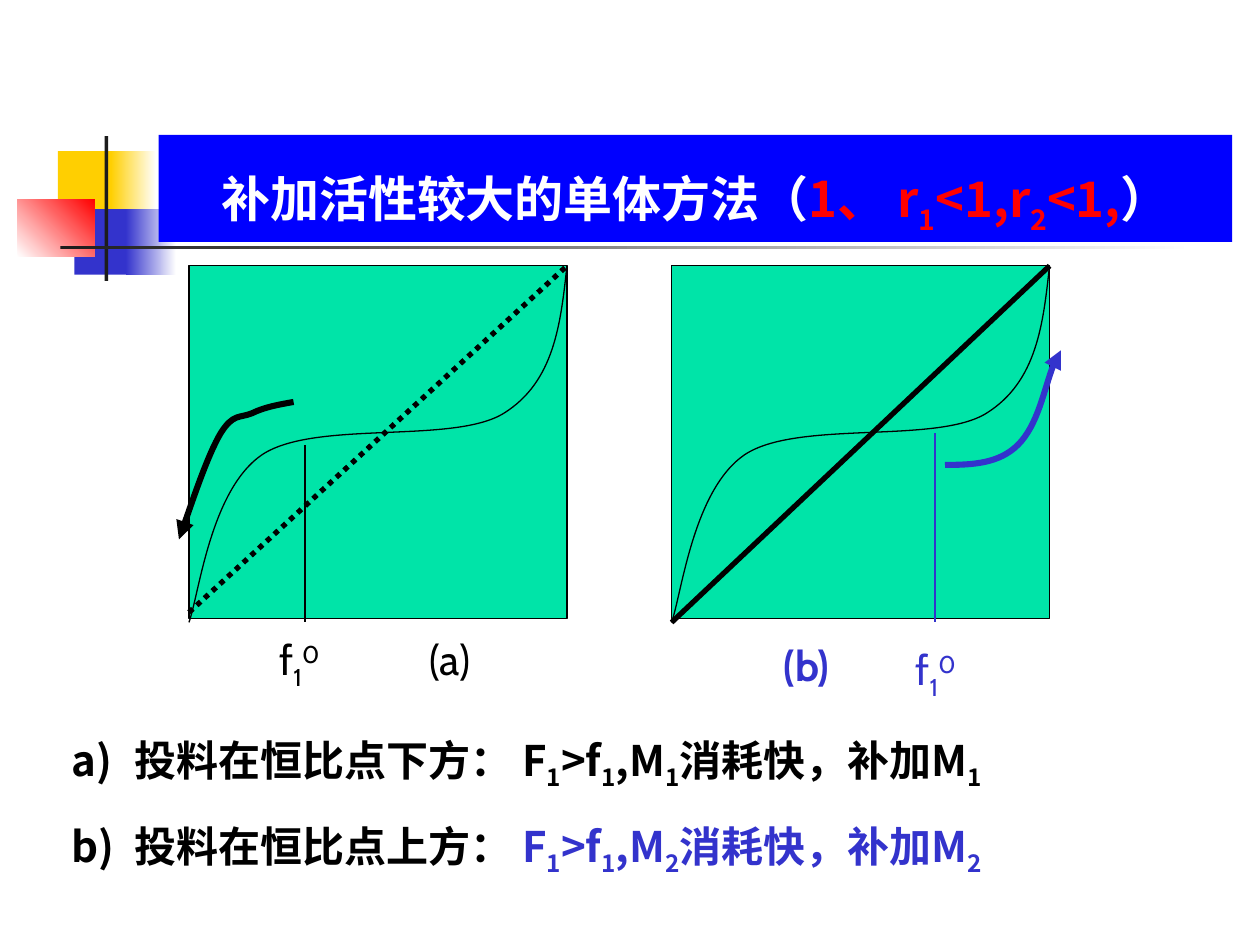
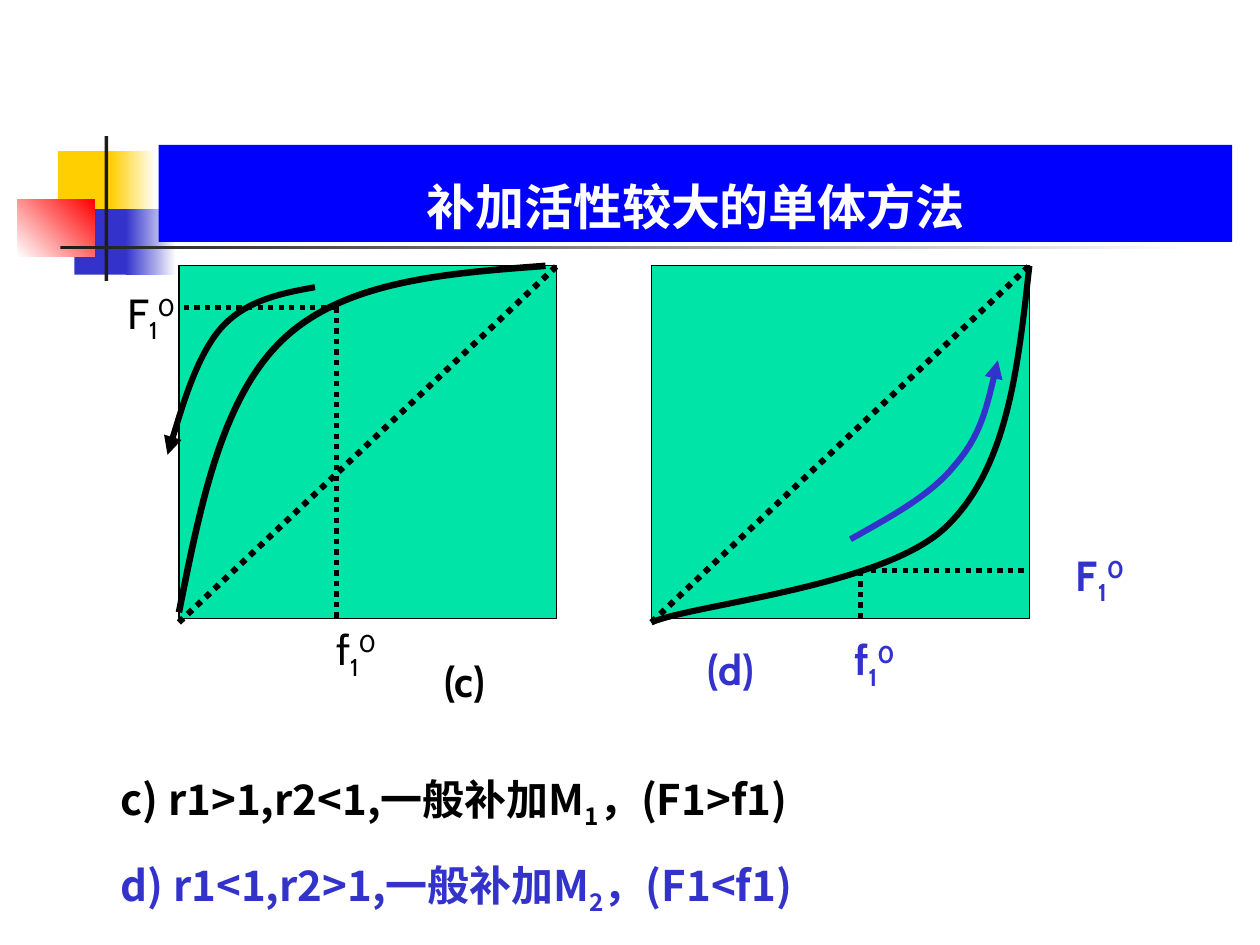
from pptx import Presentation
from pptx.dml.color import RGBColor
from pptx.enum.dml import MSO_LINE
from pptx.enum.shapes import MSO_CONNECTOR, MSO_SHAPE
from pptx.enum.text import MSO_ANCHOR, MSO_AUTO_SIZE, PP_ALIGN
from pptx.oxml.ns import qn
from pptx.oxml.xmlchemy import OxmlElement
from pptx.util import Inches, Pt

RECT = MSO_SHAPE.RECTANGLE
STRAIGHT = MSO_CONNECTOR.STRAIGHT
DOTTED = MSO_LINE.ROUND_DOT
CENTER = PP_ALIGN.CENTER
BOTTOM = MSO_ANCHOR.BOTTOM
FIT = MSO_AUTO_SIZE.SHAPE_TO_FIT_TEXT

BLACK = RGBColor(0, 0, 0)
WHITE = RGBColor(255, 255, 255)
RED = RGBColor(255, 0, 0)
BLUE = RGBColor(0x33, 0x33, 0xCC)
BAND = RGBColor(0, 0, 255)
GOLD = RGBColor(0xFF, 0xCF, 0x01)
DARK = RGBColor(0x1C, 0x1C, 0x1C)
GREEN = RGBColor(0, 0xE4, 0xA8)

CJK = "Noto Sans CJK SC"
LABEL = "Cabin"
BASELINES = {"_": "-25000", "^": "30000"}

# Plot area: every diagram is a 3 x 2.8 square
PLOT_TOP, PLOT_W, PLOT_H = 2.11, 3, 2.8
AXIS_Y = 4.94

# Curves: start point, then three points for each Bezier segment;
# the composition curves have x measured from the left of the plot
S_CURVE = [(3, 2.11), (2.95, 2.57), (2.9, 3.03), (2.5, 3.28),
           (2.1, 3.53), (1, 3.33), (0.58, 3.61),
           (0.17, 3.89), (0.08, 4.72), (0, 4.94)]
UPPER_CURVE = [(2.91, 2.11), (2.11, 2.17), (1.32, 2.23), (0.83, 2.69),
               (0.34, 3.15), (0.17, 4.01), (0, 4.86)]
LOWER_CURVE = [(3, 2.11), (2.91, 2.91), (2.83, 3.72), (2.33, 4.19),
               (1.83, 4.66), (0.32, 4.8), (0, 4.94)]
ARROW_A = [(2.33, 3.19), (2.22, 3.21), (2.1, 3.23), (2, 3.28),
           (1.9, 3.32), (1.85, 3.28), (1.75, 3.44),
           (1.65, 3.61), (1.47, 4.14), (1.42, 4.28)]
ARROW_B = [(7.5, 3.69), (7.72, 3.69), (7.93, 3.68), (8.08, 3.53),
           (8.24, 3.37), (8.33, 2.89), (8.42, 2.78)]
ARROW_C = [(2.5, 2.28), (2.22, 2.33), (1.94, 2.39), (1.75, 2.61),
           (1.56, 2.83), (1.39, 3.41), (1.33, 3.61)]
ARROW_D = [(6.75, 4.28), (7.07, 4.1), (7.39, 3.93), (7.58, 3.69),
           (7.78, 3.46), (7.85, 3.16), (7.92, 2.86)]


def xml_child(parent, tag, **attrs):
    child = OxmlElement(tag)
    for name, value in attrs.items():
        child.set(name, value)
    parent.append(child)
    return child


def add_rect(s, x, y, w, h, color, fade_to=None, angle=0, outlined=False):
    sp = s.shapes.add_shape(RECT, Inches(x), Inches(y), Inches(w), Inches(h))
    sp.shadow.inherit = False
    if fade_to is None:
        sp.fill.solid()
        sp.fill.fore_color.rgb = color
    else:
        sp.fill.gradient()
        sp.fill.gradient_angle = angle
        for stop, rgb in zip(sp.fill.gradient_stops, (color, fade_to)):
            stop.color.rgb = rgb
    if outlined:
        style_line(sp.line, BLACK, 0.75)
    else:
        sp.line.fill.background()
    return sp


def style_line(line, color, width, dash=None):
    line.color.rgb = color
    line.width = Pt(width)
    if dash is not None:
        line.dash_style = dash


def add_line(s, x1, y1, x2, y2, color=BLACK, width=3, dash=DOTTED):
    cn = s.shapes.add_connector(STRAIGHT, Inches(x1), Inches(y1),
                                Inches(x2), Inches(y2))
    style_line(cn.line, color, width, dash)
    xml_child(cn._element.spPr, "a:effectLst")


def add_curve(s, points, dx=0, color=BLACK, width=3.5, arrow=False):
    start, *rest = [(Inches(x + dx), Inches(y)) for x, y in points]
    builder = s.shapes.build_freeform(*start)
    builder.add_line_segments(rest, close=False)
    sp = builder.convert_to_shape()
    sp.shadow.inherit = False
    sp.fill.background()
    style_line(sp.line, color, width)
    # Turn each three straight segments into one Bezier segment
    segments = list(sp._element.iter(qn("a:lnTo")))
    for i in range(0, len(segments), 3):
        bezier = OxmlElement("a:cubicBezTo")
        segments[i].addprevious(bezier)
        for segment in segments[i:i + 3]:
            bezier.append(segment[0])
            segment.getparent().remove(segment)
    if arrow:
        xml_child(sp._element.spPr.find(qn("a:ln")), "a:tailEnd",
                  type="triangle")


def add_run(p, text, fmt, color, baseline=None):
    r = p.add_run()
    r.text = text
    for name, value in fmt.items():
        setattr(r.font, name, value)
    r.font.color.rgb = color
    rPr = r._r.get_or_add_rPr()
    xml_child(rPr, "a:ea", typeface=fmt["name"])
    if baseline:
        rPr.set("baseline", baseline)


def write(p, parts, fmt):
    """Write (text, color) parts; _x is a subscript and ^x a superscript."""
    for text, color in parts:
        plain, i = "", 0
        while i < len(text):
            if text[i] in BASELINES:
                if plain:
                    add_run(p, plain, fmt, color)
                add_run(p, text[i + 1], fmt, color, BASELINES[text[i]])
                plain, i = "", i + 2
            else:
                plain, i = plain + text[i], i + 1
        if plain:
            add_run(p, plain, fmt, color)


def add_text(s, x, y, w, h, paragraphs, fmt, wrap=True, spacing=None,
             numbered=False):
    box = s.shapes.add_textbox(Inches(x), Inches(y), Inches(w), Inches(h))
    tf = box.text_frame
    tf.word_wrap = wrap
    tf.auto_size = FIT
    for i, parts in enumerate(paragraphs):
        p = tf.add_paragraph() if i else tf.paragraphs[0]
        if numbered:
            pPr = p._p.get_or_add_pPr()
            pPr.set("marL", str(Inches(0.5)))
            pPr.set("indent", str(-Inches(0.5)))
            xml_child(xml_child(pPr, "a:buClr"), "a:srgbClr", val=str(BLACK))
            xml_child(pPr, "a:buAutoNum", type="alphaLcParenR")
        if spacing:
            p.line_spacing = spacing
        write(p, parts, fmt)


def add_label(s, x, y, w, text, color=BLACK, bold=False):
    h = 0.56 if "_" in text else 0.5
    fmt = {"name": LABEL, "size": Pt(24), "bold": bold}
    add_text(s, x, y, w, h, [[(text, color)]], fmt, wrap=False)


def add_notes_text(s, x, y, w, paragraphs, numbered=False):
    fmt = {"name": CJK, "size": Pt(24), "bold": True}
    add_text(s, x, y, w, 1.47, paragraphs, fmt, spacing=1.5,
             numbered=numbered)


def add_plots(s, lefts):
    for left in lefts:
        add_rect(s, left, PLOT_TOP, PLOT_W, PLOT_H, GREEN, outlined=True)


def new_slide(prs, title_top, title):
    s = prs.slides.add_slide(prs.slide_layouts[6])
    # Coloured blocks and cross lines
    add_rect(s, 0.46, 1.2, 0.48, 0.52, GOLD)
    add_rect(s, 0.88, 1.2, 0.36, 0.52, GOLD, WHITE)
    add_rect(s, 0.59, 1.66, 0.46, 0.52, BLUE)
    add_rect(s, 1, 1.66, 0.4, 0.52, BLUE, WHITE)
    add_rect(s, 0.14, 1.58, 0.61, 0.46, WHITE, RED, angle=45)
    add_rect(s, 0.83, 1.08, 0.03, 1.15, DARK)
    add_rect(s, 0.48, 1.95, 9, 0.03, DARK, WHITE)
    # Title band
    band = add_rect(s, 1.26, title_top, 8.52, 1.92 - title_top, BAND)
    tf = band.text_frame
    tf.word_wrap = True
    tf.vertical_anchor = BOTTOM
    p = tf.paragraphs[0]
    p.alignment = CENTER
    write(p, title, {"name": CJK, "size": Pt(28), "bold": True})
    return s


def build_azeotrope_slide(prs):
    s = new_slide(prs, 1.07, [("补加活性较大的单体方法（", WHITE),
                              ("1、 r_1<1,r_2<1,", RED), ("）", WHITE)])
    left_a, left_b = 1.5, 5.33
    add_plots(s, (left_a, left_b))
    # Diagonals and composition curves
    add_line(s, left_a, 4.86, left_a + PLOT_W, PLOT_TOP)
    for left in (left_a, left_b):
        add_curve(s, S_CURVE, left, width=0.75)
    add_line(s, left_b, AXIS_Y, left_b + PLOT_W, PLOT_TOP, dash=None)
    # Feed compositions and drift arrows
    add_line(s, 2.42, 3.53, 2.42, AXIS_Y, width=0.75, dash=None)
    add_line(s, 7.42, 3.44, 7.42, AXIS_Y, BLUE, 0.75, None)
    add_curve(s, ARROW_A, arrow=True)
    add_curve(s, ARROW_B, color=BLUE, arrow=True)
    # Labels
    add_label(s, 3.31, 4.98, 0.58, "(a)")
    add_label(s, 6.12, 5.03, 0.63, "(b)", BLUE, True)
    add_label(s, 2.12, 4.98, 0.53, "f_1^0")
    add_label(s, 7.17, 5.06, 0.53, "f_1^0", BLUE)
    add_notes_text(s, 0.47, 5.55, 8.91, [
        [("投料在恒比点下方： F_1>f_1,M_1消耗快，补加M_1", BLACK)],
        [("投料在恒比点上方： ", BLACK),
         ("F_1>f_1,M_2消耗快，补加M_2", BLUE)],
    ], numbered=True)


def build_single_side_slide(prs):
    s = new_slide(prs, 1.15, [("补加活性较大的单体方法", WHITE)])
    left_c, left_d = 1.42, 5.17
    add_plots(s, (left_c, left_d))
    # Diagonals and composition curves
    for left in (left_c, left_d):
        add_line(s, left, AXIS_Y, left + PLOT_W, PLOT_TOP, width=3.5)
    add_curve(s, UPPER_CURVE, left_c, width=3.75)
    add_curve(s, LOWER_CURVE, left_d)
    # Guides from the feed point to both axes
    for x, y, axis_x in ((2.67, 2.44, left_c), (6.83, 4.53, left_d + PLOT_W)):
        add_line(s, x, y, x, AXIS_Y)
        add_line(s, x, y, axis_x, y)
    # Drift arrows
    add_curve(s, ARROW_C, arrow=True)
    add_curve(s, ARROW_D, color=BLUE, arrow=True)
    # Labels
    add_label(s, 3.43, 5.15, 0.59, "(c)", bold=True)
    add_label(s, 2.57, 4.9, 0.53, "f_1^0")
    add_label(s, 6.68, 4.98, 0.55, "f_1^0", BLUE, True)
    add_label(s, 0.91, 2.23, 0.59, "F_1^0")
    add_label(s, 8.44, 4.31, 0.6, "F_1^0", BLUE, True)
    add_label(s, 5.52, 5.06, 0.63, "(d)", BLUE, True)
    add_notes_text(s, 0.86, 5.86, 8.44, [
        [("c) r1>1,r2<1,一般补加M_1，(F1>f1)", BLACK)],
        [("d) r1<1,r2>1,一般补加M_2，(F1<f1)", BLUE)],
    ])


def main():
    prs = Presentation()
    prs.slide_width, prs.slide_height = Inches(10), Inches(7.5)
    build_azeotrope_slide(prs)
    build_single_side_slide(prs)
    prs.save("out.pptx")


if __name__ == "__main__":
    main()
